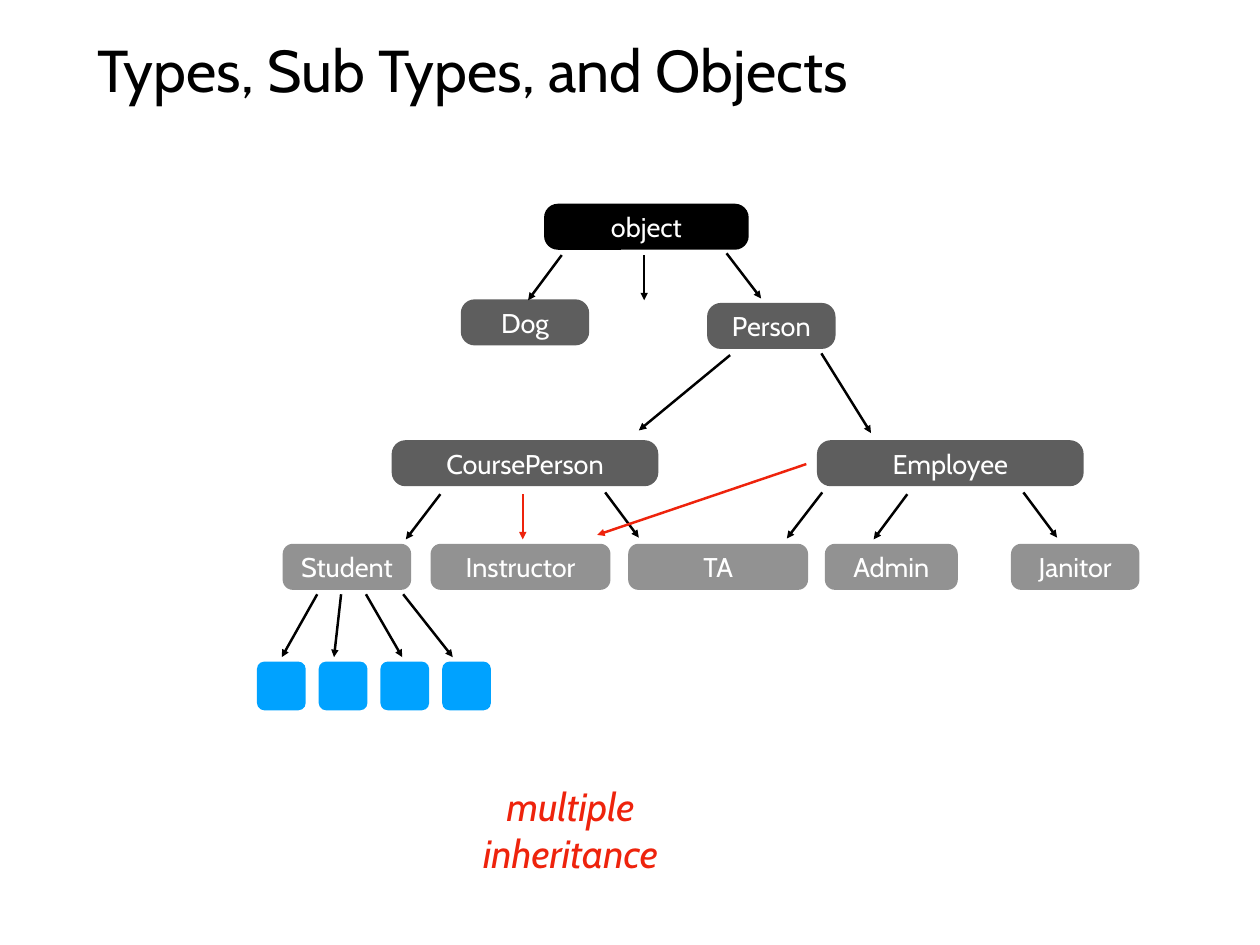
import collections
import dataclasses

import lxml.etree
import pptx
import pptx.dml.color
import pptx.enum.shapes
import pptx.enum.text
import pptx.oxml.ns
import pptx.util

Inches = pptx.util.Inches
SHAPES = pptx.enum.shapes.MSO_SHAPE
ALIGN = pptx.enum.text.PP_ALIGN
Box = collections.namedtuple("Box", "left top width height")


@dataclasses.dataclass(frozen=True)
class Theme:
    """Colours, font and sizes of the slide."""
    font: str = "Cabin"
    title_size: int = 48
    node_size: int = 22
    caption_size: int = 32
    line_width: int = 2
    ink: str = "000000"
    paper: str = "FFFFFF"
    base: str = "5E5E5E"
    leaf: str = "929292"
    instance: str = "00A2FF"
    accent: str = "EE230C"


THEME = Theme()
NODE_HEIGHT = 0.52

# Class name, left, top, width, fill, corner; relative to the tree box
CLASSES = [
    ("object", 3.34, 0, 2.31, THEME.ink, 0.3),
    ("Dog", 2.4, 1.08, 1.45, THEME.base, 0.3),
    ("Person", 5.18, 1.12, 1.45, THEME.base, 0.3),
    ("CoursePerson", 1.62, 2.67, 3.01, THEME.base, 0.3),
    ("Employee", 6.42, 2.67, 3.01, THEME.base, 0.3),
    ("Student", 0.39, 3.84, 1.45, THEME.leaf, 0.22),
    ("Instructor", 2.06, 3.84, 2.03, THEME.leaf, 0.22),
    ("TA", 4.29, 3.84, 2.03, THEME.leaf, 0.22),
    ("Admin", 6.51, 3.84, 1.5, THEME.leaf, 0.22),
    ("Janitor", 8.61, 3.84, 1.45, THEME.leaf, 0.22),
]

# Start and end points, grouped by colour; relative to the tree box
INHERITANCE = {
    THEME.ink: [
        ((3.54, 0.58), (3.16, 1.09)),  # object to Dog
        ((4.47, 0.58), (4.47, 1.09)),  # object to further types
        ((5.4, 0.56), (5.79, 1.07)),  # object to Person
        ((5.44, 1.71), (4.41, 2.56)),  # Person to CoursePerson
        ((6.47, 1.69), (7.03, 2.59)),  # Person to Employee
        ((2.17, 3.28), (1.78, 3.79)),  # CoursePerson to Student
        ((4.03, 3.26), (4.41, 3.77)),  # CoursePerson to TA
        ((6.48, 3.26), (6.08, 3.78)),  # Employee to TA
        ((7.44, 3.28), (7.06, 3.79)),  # Employee to Admin
        ((8.75, 3.26), (9.13, 3.77)),  # Employee to Janitor
    ],
    THEME.accent: [
        ((3.1, 3.28), (3.1, 3.79)),  # CoursePerson to Instructor
        ((6.3, 2.94), (3.94, 3.74)),  # Employee to Instructor
    ],
}

# Horizontal start and end of each Student arrow, relative to the instance box
INSTANCE_ARROWS = [(0.68, 0.28), (0.95, 0.87), (1.23, 1.64), (1.65, 2.21)]


def rgb(colour):
    """Turn a hex string into a colour value."""
    return pptx.dml.color.RGBColor.from_string(colour)


def write_text(shape, text, *, size, colour, align=ALIGN.CENTER, italic=False):
    """Put one formatted paragraph in the middle of a shape."""
    frame = shape.text_frame
    frame.word_wrap = True
    frame.vertical_anchor = pptx.enum.text.MSO_ANCHOR.MIDDLE
    frame.margin_left = frame.margin_right = Inches(0.06)
    frame.margin_top = frame.margin_bottom = Inches(0.06)
    para = frame.paragraphs[0]
    para.alignment = align
    span = para.add_run()
    span.text = text
    span.font.name = THEME.font
    span.font.size = pptx.util.Pt(size)
    span.font.italic = italic
    span.font.color.rgb = rgb(colour)


def add_text(page, box, text, **text_format):
    """Add a text box filling the given box."""
    label = page.shapes.add_textbox(*map(Inches, box))
    write_text(label, text, **text_format)


def add_rounded(page, box, fill, corner):
    """Add a plain rounded rectangle and return it."""
    shape = page.shapes.add_shape(SHAPES.ROUNDED_RECTANGLE, *map(Inches, box))
    shape.adjustments[0] = corner
    shape.shadow.inherit = False
    shape.fill.solid()
    shape.fill.fore_color.rgb = rgb(fill)
    shape.line.fill.background()
    return shape


def add_arrow(page, box, start, end, colour):
    """Draw an arrow between two points relative to the box."""
    points = (box.left + start[0], box.top + start[1],
              box.left + end[0], box.top + end[1])
    arrow = page.shapes.add_connector(
        pptx.enum.shapes.MSO_CONNECTOR.STRAIGHT, *map(Inches, points))
    arrow.line.color.rgb = rgb(colour)
    arrow.line.width = pptx.util.Pt(THEME.line_width)
    qn = pptx.oxml.ns.qn
    head = lxml.etree.SubElement(arrow.line._get_or_add_ln(), qn("a:tailEnd"))
    head.set("type", "triangle")
    lxml.etree.SubElement(arrow._element.spPr, qn("a:effectLst"))


def draw_title(page, box):
    """Write the slide heading."""
    add_text(page, box, "Types, Sub Types, and Objects",
             size=THEME.title_size, colour=THEME.ink, align=ALIGN.LEFT)


def draw_class_tree(page, box):
    """Draw the classes and the inheritance arrows between them."""
    for name, left, top, width, fill, corner in CLASSES:
        node_box = Box(box.left + left, box.top + top, width, NODE_HEIGHT)
        node = add_rounded(page, node_box, fill, corner)
        write_text(node, name, size=THEME.node_size, colour=THEME.paper)
    for colour, arrows in INHERITANCE.items():
        for start, end in arrows:
            add_arrow(page, box, start, end, colour)


def draw_instances(page, box):
    """Draw the Student objects in an even row, each under its arrow."""
    side = 0.55
    pitch = (box.width - side) / (len(INSTANCE_ARROWS) - 1)
    top = box.top + box.height - side
    for index, (start, end) in enumerate(INSTANCE_ARROWS):
        square = Box(box.left + index * pitch, top, side, side)
        add_rounded(page, square, THEME.instance, 0.15)
        add_arrow(page, box, (start, 0), (end, 0.71), THEME.ink)


def draw_caption(page, box):
    """Name the relation that the red arrows show."""
    add_text(page, box, "multiple inheritance", italic=True,
             size=THEME.caption_size, colour=THEME.accent)


deck = pptx.Presentation()
deck.slide_width, deck.slide_height = Inches(14.22), Inches(10.67)
page = deck.slides.add_slide(deck.slide_layouts[6])
draw_title(page, Box(1.04, 0.28, 9.17, 0.99))
draw_class_tree(page, Box(2.8, 2.3, 10.06, 4.36))
draw_instances(page, Box(2.9, 6.71, 2.64, 1.31))
draw_caption(page, Box(5.29, 8.76, 2.3, 1.2))
deck.save("out.pptx")
